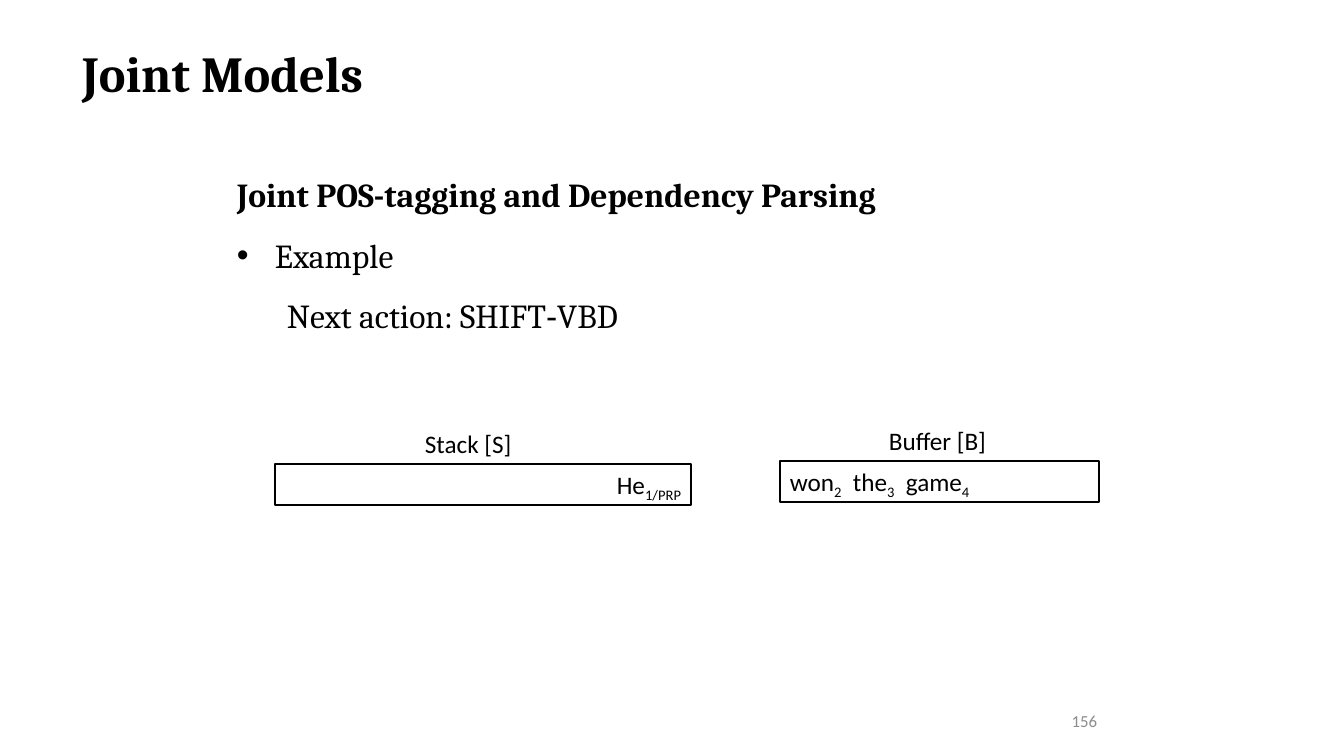
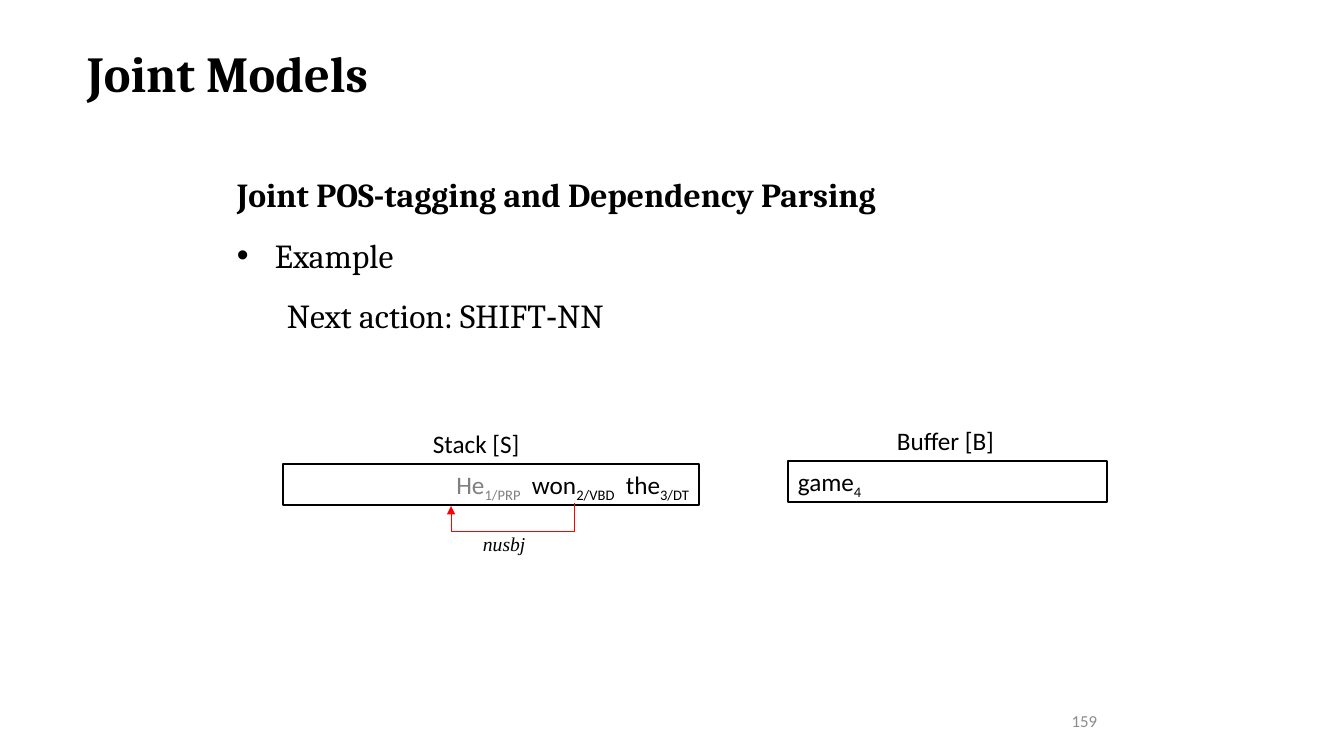
from dataclasses import dataclass
from pptx import Presentation, util as u
from pptx.dml.color import RGBColor
from pptx.enum import shapes, text
from pptx.oxml.ns import qn
from lxml import etree

SCALE = 914400 / 100.8  # EMU in one px


@dataclass(frozen=True)
class Theme:
    black: str = "000000"
    gray: str = "808080"
    pale: str = "8C8C8C"
    red: str = "FF0000"
    serif: str = "Cambria"
    sans: str = "Calibri"
    hyphen: str = "Arial"
    arc: str = "Times New Roman"
    title: int = 36
    body: int = 24
    word: int = 18
    label: int = 14
    small: int = 12


T = Theme()
LEFT, RIGHT = text.PP_ALIGN.LEFT, text.PP_ALIGN.RIGHT
TOP, MIDDLE = text.MSO_ANCHOR.TOP, text.MSO_ANCHOR.MIDDLE


def px(n):
    return u.Emu(round(n * SCALE))


# ---- text ----
def add_run(para, words, font=T.sans, size=T.word, color=T.black,
            bold=False, italic=False, base=0, track=0):
    run = para.add_run()
    run.text = words
    face = run.font
    face.name, face.size = font, u.Pt(size)
    face.bold, face.italic = bold, italic
    face.color.rgb = RGBColor.from_string(color)
    if base:
        face._element.set("baseline", str(base * 1000))
    if track:
        face._element.set("spc", str(track * 100))


def write(frame, runs, first=True, align=LEFT, anchor=TOP, space=None,
          indent=0, hang=0, bullet=None, **style):
    """Write one paragraph; runs is a string or a list of (text, changes)."""
    frame.word_wrap = True
    frame.vertical_anchor = anchor
    para = frame.paragraphs[0] if first else frame.add_paragraph()
    para.alignment = align
    if space:
        para.line_spacing = space
    props = para._p.get_or_add_pPr()
    props.set("marL", str(px(indent)))
    props.set("indent", str(px(-hang)))
    if bullet:
        etree.SubElement(props, qn("a:buFont")).set("typeface", "Arial")
        etree.SubElement(props, qn("a:buChar")).set("char", bullet)
    for words, change in [(runs, {})] if isinstance(runs, str) else runs:
        add_run(para, words, **{**style, **change})


def add_text(slide, box, runs, **style):
    frame = slide.shapes.add_textbox(*map(px, box)).text_frame
    write(frame, runs, **style)
    return frame


# ---- parser state ----
def tokens(items):
    """Turn (word, index, color) items into runs with subscript indices."""
    runs = []
    for word, index, color in items:
        if runs:
            runs.append((" ", {"track": 4}))
        runs += [(word, {"color": color}),
                 (index, {"color": color, "base": -25})]
    return runs


def add_cell(slide, box, items, align):
    cell = slide.shapes.add_shape(shapes.MSO_SHAPE.RECTANGLE, *map(px, box))
    cell.shadow.inherit = False
    cell.fill.background()
    cell.line.color.rgb = RGBColor.from_string(T.black)
    cell.line.width = u.Pt(1.5)
    write(cell.text_frame, tokens(items), align=align)


def add_state(slide, shift, stack, buffer):
    add_text(slide, (415 + shift, 423, 118, 40), "Stack [S]")
    add_text(slide, (879 + shift, 420, 151, 40), "Buffer [B]")
    add_cell(slide, (275 + shift, 464, 416, 41), stack, RIGHT)
    add_cell(slide, (780 + shift, 461, 319, 41), buffer, LEFT)


def add_arc(slide, head, tail, drop, name):
    """Bent arrow running below the words, drop px under its head."""
    (x1, y1), (x2, y2) = head, tail
    wide, high = x2 - x1, y1 - y2
    midx, midy = (x1 + x2) / 2, (y1 + y2) / 2
    # The elbow is laid out upright, then turned by a quarter
    ends = (midx + high / 2, midy + wide / 2, midx - high / 2, midy - wide / 2)
    arc = slide.shapes.add_connector(shapes.MSO_CONNECTOR.ELBOW, *map(px, ends))
    arc.line.color.rgb = RGBColor.from_string(T.red)
    arc.line.width = u.Pt(0.5)
    props = arc._element.spPr
    props.find(qn("a:xfrm")).set("rot", "5400000")
    guide = etree.SubElement(props.find(qn("a:prstGeom")).find(qn("a:avLst")), qn("a:gd"))
    guide.set("name", "adj1")
    guide.set("fmla", f"val {round(-drop / high * 100000)}")
    etree.SubElement(props.find(qn("a:ln")), qn("a:headEnd")).set("type", "triangle")
    etree.SubElement(props, qn("a:effectLst"))
    add_text(slide, (473, 527, 78, 34), name, font=T.arc, size=T.label, italic=True)


# ---- slide frame ----
def add_slide(deck, number, left, tag):
    slide = deck.slides.add_slide(deck.slide_layouts[6])
    add_text(slide, (left, 37, 870 - left, 72), "Joint Models",
             font=T.serif, size=T.title, bold=True)
    add_text(slide, (880, 701, 227, 40), number, align=RIGHT, anchor=MIDDLE,
             size=T.small, color=T.pale)
    style = {"font": T.serif, "size": T.body, "space": 1.5}
    body = add_text(slide, (227, 149, 891, 187),
                    "Joint POS-tagging and Dependency Parsing", bold=True, **style)
    write(body, "Example", first=False, indent=38, hang=38, bullet="•", **style)
    action = [("Next action: SHIFT", {}), ("-", {"font": T.hyphen}), (tag, {})]
    write(body, action, first=False, indent=50, **style)
    return slide


def main():
    deck = Presentation()
    deck.slide_width, deck.slide_height = px(1344), px(756)

    # Before the verb is shifted
    slide = add_slide(deck, "156", 72, "VBD")
    add_state(slide, 0, [("He", "1/PRP", T.black)],
              [("won", "2", T.black), ("the", "3", T.black), ("game", "4", T.black)])

    # Before the noun is shifted
    slide = add_slide(deck, "159", 77, "NN")
    add_state(slide, 8,
              [("He", "1/PRP", T.gray), ("won", "2/VBD", T.black), ("the", "3/DT", T.black)],
              [("game", "4", T.black)])
    add_arc(slide, (451, 506), (574, 503), 25, "nusbj")

    deck.save("out.pptx")


if __name__ == "__main__":
    main()
